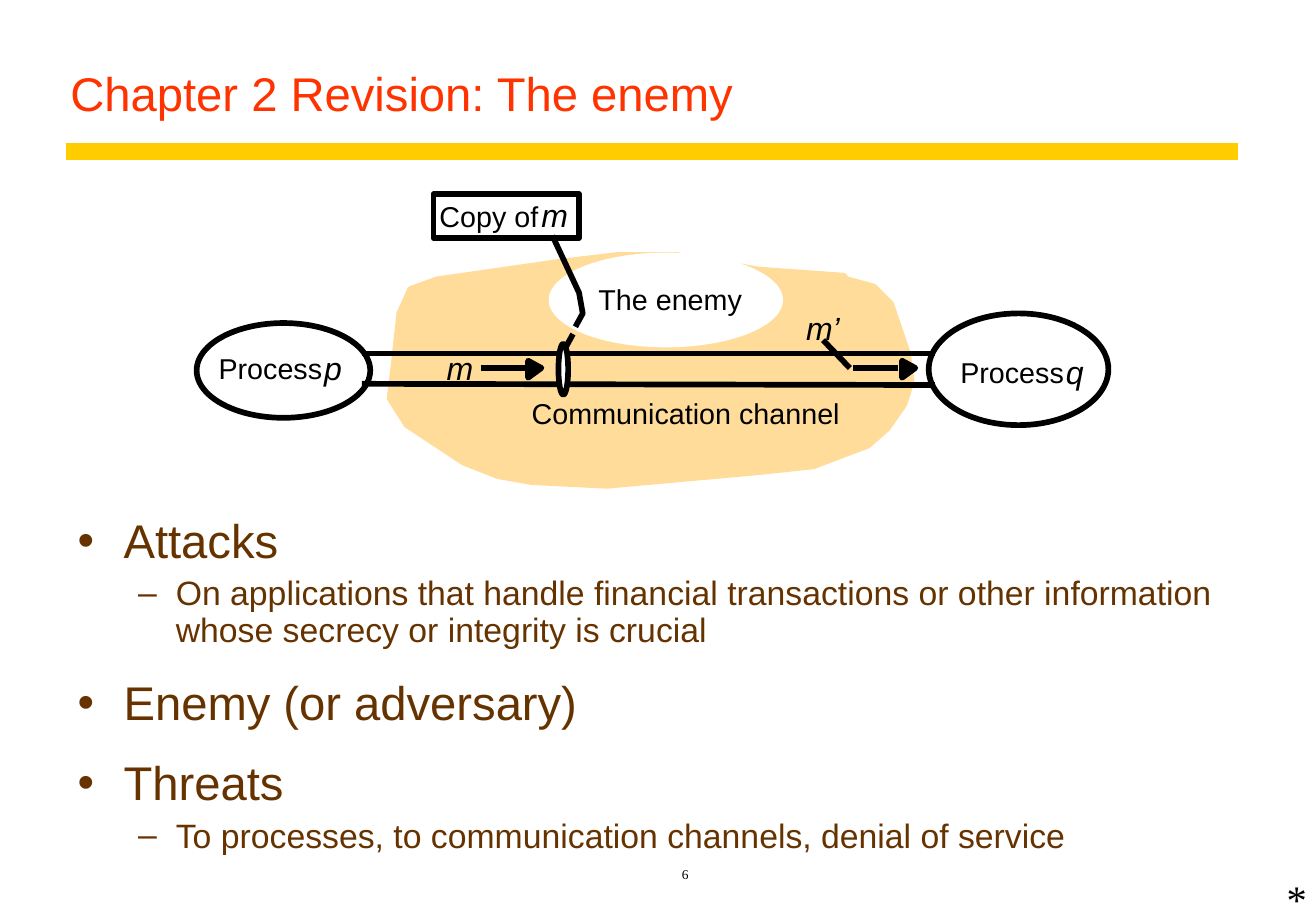
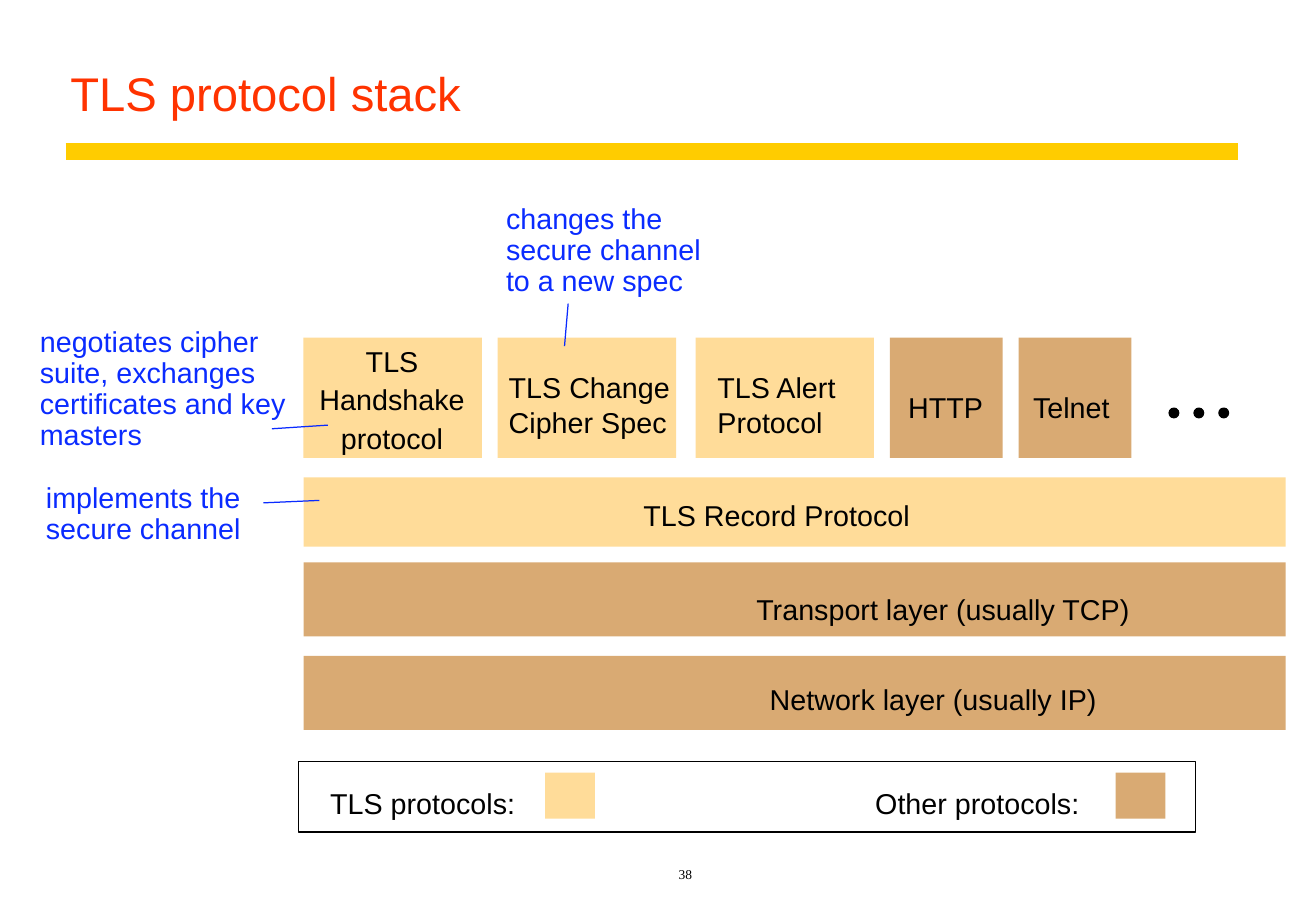
from lxml.etree import SubElement
from pptx import Presentation
from pptx.dml.color import RGBColor
from pptx.enum.shapes import MSO_CONNECTOR, MSO_SHAPE
from pptx.enum.text import MSO_ANCHOR, MSO_AUTO_SIZE, PP_ALIGN
from pptx.oxml.ns import qn
from pptx.util import Inches, Pt

BLACK = RGBColor(0x00, 0x00, 0x00)
WHITE = RGBColor(0xFF, 0xFF, 0xFF)
RED = RGBColor(0xFF, 0x33, 0x00)
YELLOW = RGBColor(0xFF, 0xCC, 0x00)
BROWN = RGBColor(0x66, 0x33, 0x00)
BLUE = RGBColor(0x0A, 0x2B, 0xFF)
SAND = RGBColor(0xFF, 0xDC, 0x99)
TAN = RGBColor(0xD9, 0xAA, 0x73)
SERIF = "Times New Roman"
THICK = 3.37
THIN = 0.75


def add_text(slide, text, at, size=17, color=BLACK, font="Arial", italic=False,
             spacing=None, margins=(0, 0), wrap=False, align=PP_ALIGN.LEFT):
    frame = slide.shapes.add_textbox(*map(Inches, at)).text_frame
    frame.word_wrap = wrap
    frame.margin_left = frame.margin_right = Inches(margins[0])
    frame.margin_top = frame.margin_bottom = Inches(margins[1])
    frame.text = text
    for paragraph in frame.paragraphs:
        paragraph.alignment = align
        paragraph.line_spacing = spacing
        for run in paragraph.runs:
            run.font.size = Pt(size)
            run.font.name = font
            run.font.italic = italic
            run.font.color.rgb = color
    return frame


def paint(shape, fill=None, line=None, width=THICK):
    if line is None:
        shape.line.fill.background()
    else:
        shape.line.color.rgb = line
        shape.line.width = Pt(width)
    if not hasattr(shape, "fill"):
        SubElement(shape._element.spPr, qn("a:effectLst"))
        return
    shape.shadow.inherit = False
    if fill is None:
        shape.fill.background()
    else:
        shape.fill.solid()
        shape.fill.fore_color.rgb = fill


presentation = Presentation()
presentation.slide_width = Inches(10.84)
presentation.slide_height = Inches(7.5)

slides = []
for heading, number in (("Chapter 2 Revision: The enemy", "6"), ("TLS protocol stack", "38")):
    slide = presentation.slides.add_slide(presentation.slide_layouts[5])
    slides.append(slide)
    band = slide.shapes.add_connector(
        MSO_CONNECTOR.STRAIGHT, Inches(0.54), Inches(1.25), Inches(10.2), Inches(1.25))
    paint(band, line=YELLOW, width=10)
    footer = add_text(slide, number, (2.35, 7, 6.59, 0.31), 8, font=SERIF,
                      margins=(0.1, 0.05), wrap=True, align=PP_ALIGN.CENTER)
    footer.vertical_anchor = MSO_ANCHOR.BOTTOM
    title = slide.shapes.title
    title.left, title.top, title.width, title.height = map(Inches, (0.48, 0.25, 9.72, 0.8))
    title.text_frame.text = heading
    title.text_frame.auto_size = MSO_AUTO_SIZE.NONE
    title.text_frame.vertical_anchor = MSO_ANCHOR.BOTTOM
    paragraph = title.text_frame.paragraphs[0]
    paragraph.alignment = PP_ALIGN.LEFT
    paragraph.line_spacing = 0.9
    font = paragraph.runs[0].font
    font.size, font.name, font.color.rgb = Pt(28), "Arial", RED

enemy_slide, stack_slide = slides

cloud = (
    (6.95, 2.27), (6.25, 2.22), (5.58, 2.1), (5.08, 2.1), (4.58, 2.16), (3.6, 2.3),
    (3.38, 2.38), (3.29, 2.58), (3.24, 3.03), (3.21, 3.28), (3.35, 3.5), (3.82, 3.81),
    (4.1, 3.92), (4.38, 3.97), (5, 4), (6.23, 3.89), (6.7, 3.84), (7.15, 3.67),
    (7.31, 3.53), (7.45, 3.33), (7.51, 3.14), (7.48, 2.91), (7.34, 2.5), (7.2, 2.36),
    (6.98, 2.3))
outlines = [(cloud, SAND, SAND)]
for left in (4.35, 7.43):
    outlines.append((((left, 2.97), (left + 0.11, 3.03), (left, 3.11)), BLACK, BLACK))
outlines.append((((4.55, 1.94), (4.77, 2.41), (4.8, 2.58), (4.74, 2.69)), None, BLACK))
for points, fill, line in outlines:
    corners = [(Inches(x), Inches(y)) for x, y in points]
    builder = enemy_slide.shapes.build_freeform(*corners[0], scale=1.0)
    builder.add_line_segments(corners[1:], close=fill is not None)
    paint(builder.convert_to_shape(), fill, line)

enemy = enemy_slide.shapes.add_shape(
    MSO_SHAPE.OVAL, Inches(4.52), Inches(2.08), Inches(1.93), Inches(0.78))
paint(enemy, WHITE)
trace = enemy_slide.shapes[-2]
enemy._element.addnext(trace._element)

for at in ((7.65, 2.58, 1.48, 0.92), (1.62, 2.66, 1.43, 0.78)):
    process = enemy_slide.shapes.add_shape(MSO_SHAPE.OVAL, *map(Inches, at))
    paint(process, WHITE, BLACK)

for ends in (
    (2.98, 2.91, 7.7, 2.91),
    (2.98, 3.16, 7.7, 3.17),
    (3.96, 3.03, 4.35, 3.03),
    (7.03, 3.03, 7.4, 3.03),
    (7, 3.03, 6.78, 2.8),
    (4.66, 2.86, 4.72, 2.75),
):
    paint(enemy_slide.shapes.add_connector(MSO_CONNECTOR.STRAIGHT, *map(Inches, ends)), line=BLACK)

for preset, at, fill in (
    (MSO_SHAPE.OVAL, (4.6, 2.83, 0.08, 0.42), WHITE),
    (MSO_SHAPE.RECTANGLE, (3.57, 1.6, 1.2, 0.36), None),
):
    paint(enemy_slide.shapes.add_shape(preset, *map(Inches, at)), fill, BLACK)

for text, left, top, width in (
    ("Communication channel", 4.38, 3.26, 2.65),
    ("Process", 1.8, 2.89, 0.92),
    ("Process", 7.91, 2.92, 0.92),
    ("The enemy", 4.93, 2.32, 1.3),
    ("Copy of", 3.62, 1.64, 0.88),
):
    add_text(enemy_slide, text, (left, top, width, 0.28))

for text, left, top, width in (
    ("p", 2.67, 2.87, 0.15),
    ("q", 8.78, 2.9, 0.15),
    ("m’", 6.64, 2.54, 0.28),
    ("m", 4.46, 1.61, 0.22),
    ("m", 3.68, 2.87, 0.22),
):
    add_text(enemy_slide, text, (left, top, width, 0.32), 19, italic=True)

points = (
    ("Attacks", 0),
    ("On applications that handle financial transactions or other information "
     "whose secrecy or integrity is crucial", 1),
    ("Enemy (or adversary)", 0),
    ("Threats", 0),
    ("To processes, to communication channels, denial of service", 1),
)
levels = (("•", 28, 17.5, 0.38, 0.38), ("–", 20, 5, 0.81, 0.31))
body = add_text(enemy_slide, "\n".join(text for text, level in points), (0.54, 4.21, 9.69, 2.89),
                color=BROWN, spacing=0.9, margins=(0.1, 0.05), wrap=True)
for paragraph, (text, level) in zip(body.paragraphs, points):
    bullet, size, space, indent, hanging = levels[level]
    paragraph.level = level
    paragraph.space_before = Pt(space)
    paragraph.runs[0].font.size = Pt(size)
    properties = paragraph._p.get_or_add_pPr()
    properties.set("marL", str(Inches(indent)))
    properties.set("indent", str(-Inches(hanging)))
    SubElement(properties, qn("a:buFont")).set("typeface", "Arial")
    SubElement(properties, qn("a:buChar")).set("char", bullet)

add_text(enemy_slide, "*", (10.5, 7.15, 0.33, 0.5), 24, font=SERIF, margins=(0.1, 0.05), wrap=True)

for left, top, width, height, fill in (
    (2.5, 2.78, 1.47, 0.99, SAND),
    (4.1, 2.78, 1.47, 0.99, SAND),
    (5.73, 2.78, 1.47, 0.99, SAND),
    (7.33, 2.78, 0.93, 0.99, TAN),
    (8.39, 2.78, 0.93, 0.99, TAN),
    (2.5, 3.93, 8.09, 0.57, SAND),
    (2.5, 4.63, 8.09, 0.61, TAN),
    (2.5, 5.4, 8.09, 0.61, TAN),
    (4.49, 6.36, 0.41, 0.38, SAND),
    (9.19, 6.36, 0.41, 0.38, TAN),
):
    block = stack_slide.shapes.add_shape(
        MSO_SHAPE.RECTANGLE, Inches(left), Inches(top), Inches(width), Inches(height))
    paint(block, fill)

legend = stack_slide.shapes.add_shape(
    MSO_SHAPE.RECTANGLE, Inches(2.46), Inches(6.27), Inches(7.39), Inches(0.58))
paint(legend, line=BLACK, width=THIN)

for index in range(3):
    dot = stack_slide.shapes.add_shape(
        MSO_SHAPE.OVAL, Inches(9.63 + 0.205 * index), Inches(3.36), Inches(0.08), Inches(0.08))
    paint(dot, BLACK, BLACK, THIN)

add_text(stack_slide, "TLS\nHandshake\nprotocol", (2.58, 2.79, 1.3, 0.96),
         spacing=1.13, align=PP_ALIGN.CENTER)
for text, left, top, width, height in (
    ("TLS Change\nCipher Spec", 4.19, 3.03, 1.38, 0.58),
    ("TLS Alert\nProtocol", 5.91, 3.03, 1.1, 0.58),
    ("HTTP", 7.48, 3.21, 0.7, 0.28),
    ("Telnet", 8.51, 3.21, 0.75, 0.28),
    ("TLS Record Protocol", 5.3, 4.1, 2.4, 0.28),
    ("Transport layer (usually TCP)", 6.23, 4.87, 3.3, 0.28),
    ("Network layer (usually IP)", 6.34, 5.61, 2.9, 0.28),
    ("TLS protocols:", 2.72, 6.47, 1.7, 0.28),
    ("Other protocols:", 7.21, 6.47, 1.9, 0.28),
):
    add_text(stack_slide, text, (left, top, width, height), wrap=True,
             spacing=1.04 if "\n" in text else None)

for note, at, ends in (
    ("negotiates cipher\nsuite, exchanges certificates and key masters",
     (0.23, 2.65, 2.31, 1.12), (2.24, 3.53, 2.7, 3.5)),
    ("changes the\nsecure channel\nto a new spec",
     (4.07, 1.64, 1.87, 0.87), (4.65, 2.85, 4.68, 2.5)),
    ("implements the\nsecure channel",
     (0.28, 3.93, 1.87, 0.61), (2.17, 4.14, 2.63, 4.12)),
):
    add_text(stack_slide, note, at, color=BLUE, spacing=0.9, margins=(0.1, 0.05), wrap=True)
    pointer = stack_slide.shapes.add_connector(MSO_CONNECTOR.STRAIGHT, *map(Inches, ends))
    paint(pointer, line=BLUE, width=THIN)

presentation.save("out.pptx")
